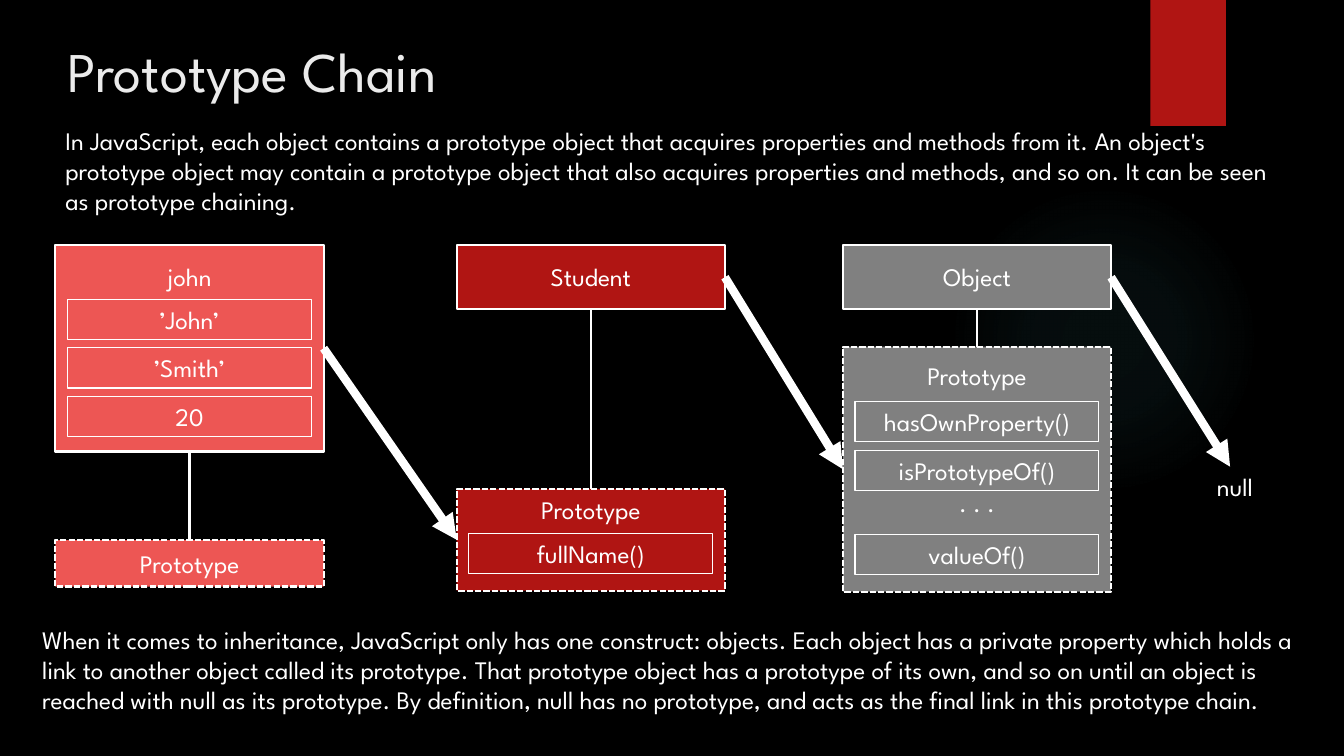
from lxml.etree import SubElement
from pptx import Presentation
from pptx.dml.color import RGBColor
from pptx.enum.dml import MSO_LINE
from pptx.enum.shapes import MSO_CONNECTOR, MSO_SHAPE
from pptx.enum.text import MSO_ANCHOR, PP_ALIGN
from pptx.oxml import parse_xml
from pptx.oxml.ns import qn
from pptx.util import Inches, Pt

# Content
TITLE = "Prototype Chain"
INTRO = (
    "In JavaScript, each object contains a prototype object that acquires properties "
    "and methods from it. An object's prototype object may contain a prototype object "
    "that also acquires properties and methods, and so on. It can be seen as prototype "
    "chaining."
)
SUMMARY = (
    "When it comes to inheritance, JavaScript only has one construct: objects. Each "
    "object has a private property which holds a link to another object called its "
    "prototype. That prototype object has a prototype of its own, and so on until an "
    "object is reached with null as its prototype. By definition, null has no prototype, "
    "and acts as the final link in this prototype chain."
)

# Colours and type
BLACK = RGBColor(0x00, 0x00, 0x00)
WHITE = RGBColor(0xFF, 0xFF, 0xFF)
OFF_WHITE = RGBColor(0xEB, 0xEB, 0xEB)
CORAL = RGBColor(0xED, 0x56, 0x54)
RED = RGBColor(0xB0, 0x15, 0x13)
GREY = RGBColor(0x80, 0x80, 0x80)
TEAL = RGBColor(0x50, 0xB9, 0xC1)
FONT = "League Spartan"

# Grid, in inches
HEAD_TOP, HEAD_LABEL = 2.43, 2.54
BOX_WIDTH, FIELD_INSET, ROW_HEIGHT = 2.66, 0.12, 0.4
FIELD_WIDTH = BOX_WIDTH - 2 * FIELD_INSET
FIELD_STEP = 0.48

# Each object: its head box and its prototype box; labels and fields are (text, top)
OBJECTS = [
    {"left": 0.55, "colour": CORAL,
     "head": (HEAD_TOP, 2.05), "head_label": ("john", HEAD_LABEL),
     "prototype": (5.36, 0.46), "prototype_label": ("Prototype", 5.39),
     "fields": [(text, 2.97 + row * FIELD_STEP)
                for row, text in enumerate(["’John’", "’Smith’", "20"])],
     "extra": []},
    {"left": 4.53, "colour": RED,
     "head": (HEAD_TOP, 0.64), "head_label": ("Student", HEAD_LABEL),
     "prototype": (4.85, 1.01), "prototype_label": ("Prototype", 4.85),
     "fields": [("fullName()", 5.29)],
     "extra": []},
    {"left": 8.36, "colour": GREY,
     "head": (HEAD_TOP, 0.64), "head_label": ("Object", HEAD_LABEL),
     "prototype": (3.44, 2.43), "prototype_label": ("Prototype", 3.53),
     "fields": [("hasOwnProperty()", 3.98), ("isPrototypeOf()", 4.47), ("valueOf()", 5.3)],
     "extra": [(". . .", 4.79)]},
]
CHAIN_END = (12.2, 4.63)


def style_text(shape, text, size=18, colour=WHITE, align=PP_ALIGN.LEFT, anchor=MSO_ANCHOR.TOP):
    frame = shape.text_frame
    frame.word_wrap = True
    frame.vertical_anchor = anchor
    frame.text = text
    para = frame.paragraphs[0]
    para.alignment = align
    font = para.runs[0].font
    font.name, font.size, font.color.rgb = FONT, Pt(size), colour


def add_text(left, top, width, height, text, align=PP_ALIGN.LEFT):
    box = page.shapes.add_textbox(Inches(left), Inches(top), Inches(width), Inches(height))
    style_text(box, text, align=align)


def add_box(left, top, width, height, fill=None, line=None, dashed=False, kind=MSO_SHAPE.RECTANGLE):
    box = page.shapes.add_shape(kind, Inches(left), Inches(top), Inches(width), Inches(height))
    box.shadow.inherit = False
    if fill is None:
        box.fill.background()
    else:
        box.fill.solid()
        box.fill.fore_color.rgb = fill
    if line is None:
        box.line.fill.background()
    else:
        box.line.color.rgb, box.line.width = WHITE, Pt(line)
        if dashed:
            box.line.dash_style = MSO_LINE.SQUARE_DOT
    return box


def add_link(source, source_side, target=None, target_side=None, width=1.5, arrow=False):
    end_x, end_y = map(Inches, CHAIN_END)
    link = page.shapes.add_connector(MSO_CONNECTOR.STRAIGHT, 0, 0, end_x, end_y)
    link.begin_connect(source, source_side)
    if target is not None:
        link.end_connect(target, target_side)
    link.line.color.rgb, link.line.width = WHITE, Pt(width)
    if arrow:
        SubElement(link.line._get_or_add_ln(), qn("a:tailEnd"), type="triangle")
    SubElement(link._element.spPr, qn("a:effectLst"))


def add_glow(left, top, size):
    glow = add_box(left, top, size, size, kind=MSO_SHAPE.OVAL)
    stops = "".join(
        f'<a:gs pos="{position * 1000}"><a:srgbClr val="{TEAL}">'
        f'<a:alpha val="{alpha * 1000}"/></a:srgbClr></a:gs>'
        for position, alpha in [(0, 7), (36, 6), (69, 0)]
    )
    gradient = parse_xml(
        '<a:gradFill xmlns:a="http://schemas.openxmlformats.org/drawingml/2006/main">'
        f'<a:gsLst>{stops}</a:gsLst><a:path path="circle">'
        '<a:fillToRect l="50000" t="50000" r="50000" b="50000"/></a:path></a:gradFill>'
    )
    properties = glow._element.spPr
    properties.replace(properties.find(qn("a:noFill")), gradient)


deck = Presentation()
deck.slide_width, deck.slide_height = Inches(13.33), Inches(7.5)
page = deck.slides.add_slide(deck.slide_layouts[5])

# Background and decoration
page.background.fill.solid()
page.background.fill.fore_color.rgb = BLACK
add_glow(9.41, 1.83, 3.08)
add_box(11.41, 0, 0.75, 1.25, RED)

# Title and paragraphs
title = page.shapes.title
title.left, title.top, title.width, title.height = map(Inches, (0.57, 0.29, 10.76, 0.82))
style_text(title, TITLE, 40, OFF_WHITE, anchor=MSO_ANCHOR.MIDDLE)
add_text(0.55, 1.19, 12.34, 1.01, INTRO)
add_text(0.32, 6.14, 12.75, 1.31, SUMMARY)

# Objects with their prototypes
heads, prototypes = [], []
for item in OBJECTS:
    left, colour = item["left"], item["colour"]
    inner = left + FIELD_INSET
    for key, boxes, dashed in [("head", heads, False), ("prototype", prototypes, True)]:
        top, height = item[key]
        boxes.append(add_box(left, top, BOX_WIDTH, height, colour, 1.5, dashed))
    for text, top in [item["head_label"], item["prototype_label"], *item["extra"]]:
        add_text(inner, top, FIELD_WIDTH, ROW_HEIGHT, text, PP_ALIGN.CENTER)
    for text, top in item["fields"]:
        field = add_box(inner, top, FIELD_WIDTH, ROW_HEIGHT, line=0.75)
        style_text(field, text, align=PP_ALIGN.CENTER, anchor=MSO_ANCHOR.MIDDLE)
    add_link(heads[-1], 2, prototypes[-1], 0)

# Chain from each object to the next prototype, ending at null
for head, following in zip(heads, prototypes[1:] + [None]):
    add_link(head, 3, following, 1, width=6, arrow=True)
add_text(11.97, CHAIN_END[1], 0.69, ROW_HEIGHT, "null")

deck.save("out.pptx")
